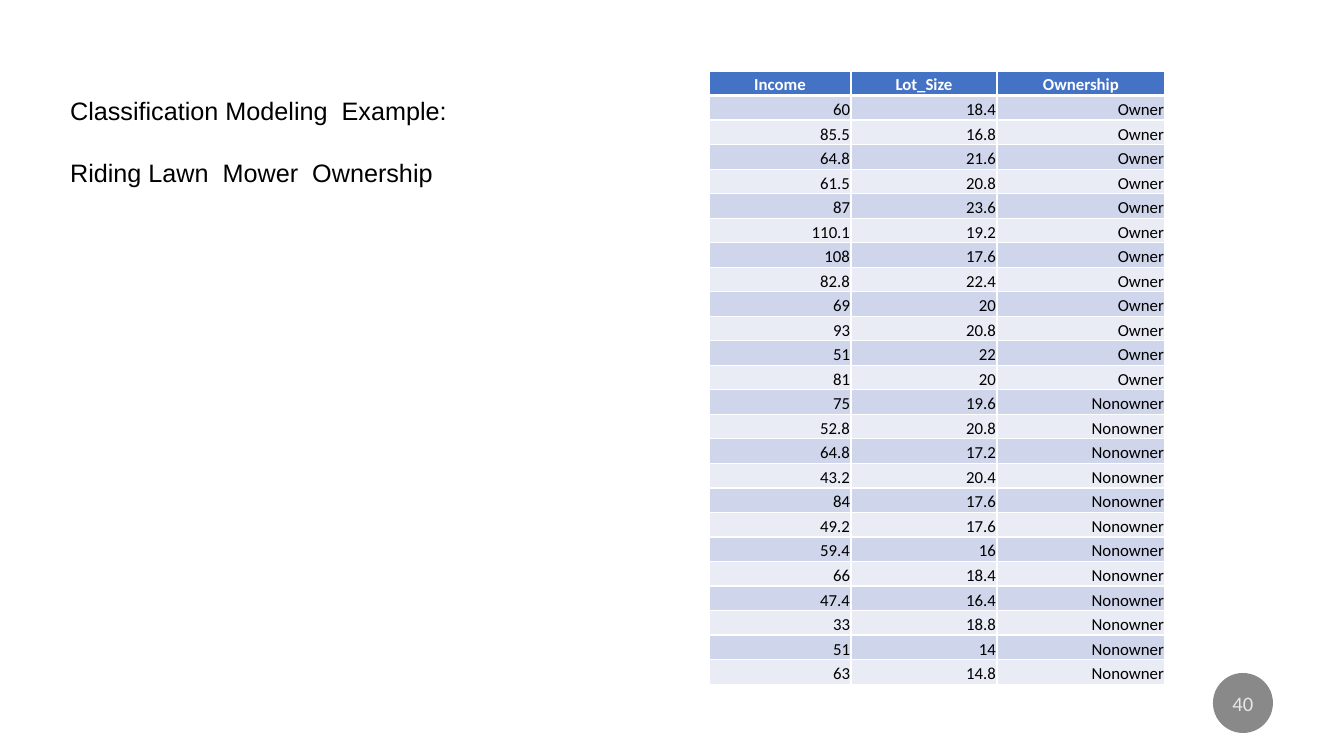
from lxml.etree import SubElement
from pptx import Presentation
from pptx.dml.color import RGBColor
from pptx.enum.shapes import MSO_SHAPE as SHAPE
from pptx.enum.text import MSO_ANCHOR as ANCHOR, MSO_AUTO_SIZE as AUTO, PP_ALIGN as ALIGN
from pptx.oxml import parse_xml
from pptx.oxml.ns import nsdecls, qn
from pptx.util import Pt

PX = 914400 / 100.8
COLORS = {"white": "FFFFFF", "black": "000000", "header": "4472C4",
          "band": "CFD5EA", "light": "E9EBF5", "badge": "898989"}


def px(n):
    return round(n * PX)


def write(p, text, size=12, font="Calibri", color="black", bold=False,
          align=ALIGN.LEFT, before=0, after=0):
    p.alignment, p.space_before, p.space_after = align, Pt(before), Pt(after)
    r = p.add_run()
    r.text = text
    r.font.size, r.font.name, r.font.bold = Pt(size), font, bold
    r.font.color.rgb = RGBColor.from_string(COLORS[color])
    return r


prs = Presentation()
prs.slide_width, prs.slide_height = px(1344), px(756)
s = prs.slides.add_slide(prs.slide_layouts[5])

# Title
title = s.shapes.title
title.left, title.top, title.width, title.height = px(60), px(90), px(672), px(102)
tf = title.text_frame
tf.word_wrap, tf.auto_size, tf.vertical_anchor = True, AUTO.NONE, ANCHOR.TOP
write(tf.paragraphs[0], "Classification Modeling  Example:", size=18, font="Arial")
write(tf.add_paragraph(), "Riding Lawn  Mower  Ownership", size=18, font="Arial", before=23)

# Page number
badge = s.shapes.add_shape(SHAPE.OVAL, px(1213), px(673), px(60), px(60))
badge.shadow.inherit = False
badge.fill.solid()
badge.fill.fore_color.rgb = RGBColor.from_string(COLORS["badge"])
badge.line.fill.background()
tf = badge.text_frame
tf.vertical_anchor = ANCHOR.MIDDLE
r = write(tf.paragraphs[0], "40", size=14.7, color="white", align=ALIGN.CENTER, after=8)
SubElement(r.font.fill.fore_color._xFill.find(qn("a:srgbClr")), qn("a:alpha"), val="80000")

# Ownership data: income and lot size, owners first
owners = [(60, 18.4), (85.5, 16.8), (64.8, 21.6), (61.5, 20.8), (87, 23.6), (110.1, 19.2),
          (108, 17.6), (82.8, 22.4), (69, 20), (93, 20.8), (51, 22), (81, 20)]
nonowners = [(75, 19.6), (52.8, 20.8), (64.8, 17.2), (43.2, 20.4), (84, 17.6), (49.2, 17.6),
             (59.4, 16), (66, 18.4), (47.4, 16.4), (33, 18.8), (51, 14), (63, 14.8)]
rows = [("Income", "Lot_Size", "Ownership")]
rows += [(*pair, "Owner") for pair in owners]
rows += [(*pair, "Nonowner") for pair in nonowners]

# Table
widths = [142, 146, 168]
table_height = 614
table = s.shapes.add_table(len(rows), len(widths), px(709), px(71),
                           px(sum(widths)), px(table_height)).table
table.horz_banding = False
for column, width in zip(table.columns, widths):
    column.width = px(width)
for i, values in enumerate(rows):
    table.rows[i].height = px(table_height / len(rows))
    header = i == 0
    fill = "header" if header else "band" if i % 2 else "light"
    borders = {"lnL": 1, "lnR": 1, "lnT": 3 if i == 1 else 1, "lnB": 3 if header else 1}
    for j, value in enumerate(values):
        cell = table.cell(i, j)
        cell.vertical_anchor = ANCHOR.BOTTOM
        cell.margin_left = cell.margin_right = cell.margin_top = px(1)
        cell.margin_bottom = 0
        cell.fill.solid()
        cell.fill.fore_color.rgb = RGBColor.from_string(COLORS[fill])
        write(cell.text_frame.paragraphs[0], str(value), bold=header,
              color="white" if header else "black",
              align=ALIGN.CENTER if header else ALIGN.RIGHT)
        tcPr = cell._tc.get_or_add_tcPr()
        for k, (side, points) in enumerate(borders.items()):
            tcPr.insert(k, parse_xml(
                f'<a:{side} {nsdecls("a")} w="{Pt(points)}"><a:solidFill>'
                f'<a:srgbClr val="{COLORS["white"]}"/></a:solidFill></a:{side}>'))

prs.save("out.pptx")
